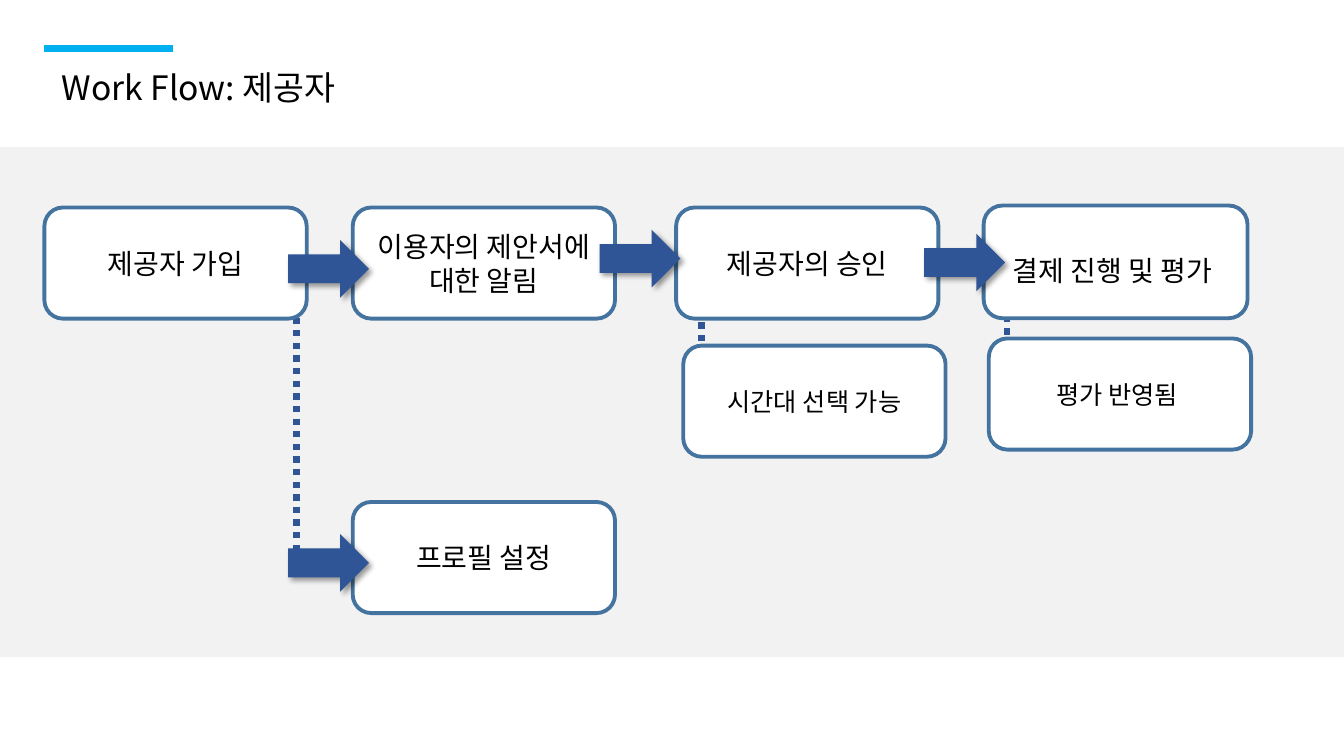
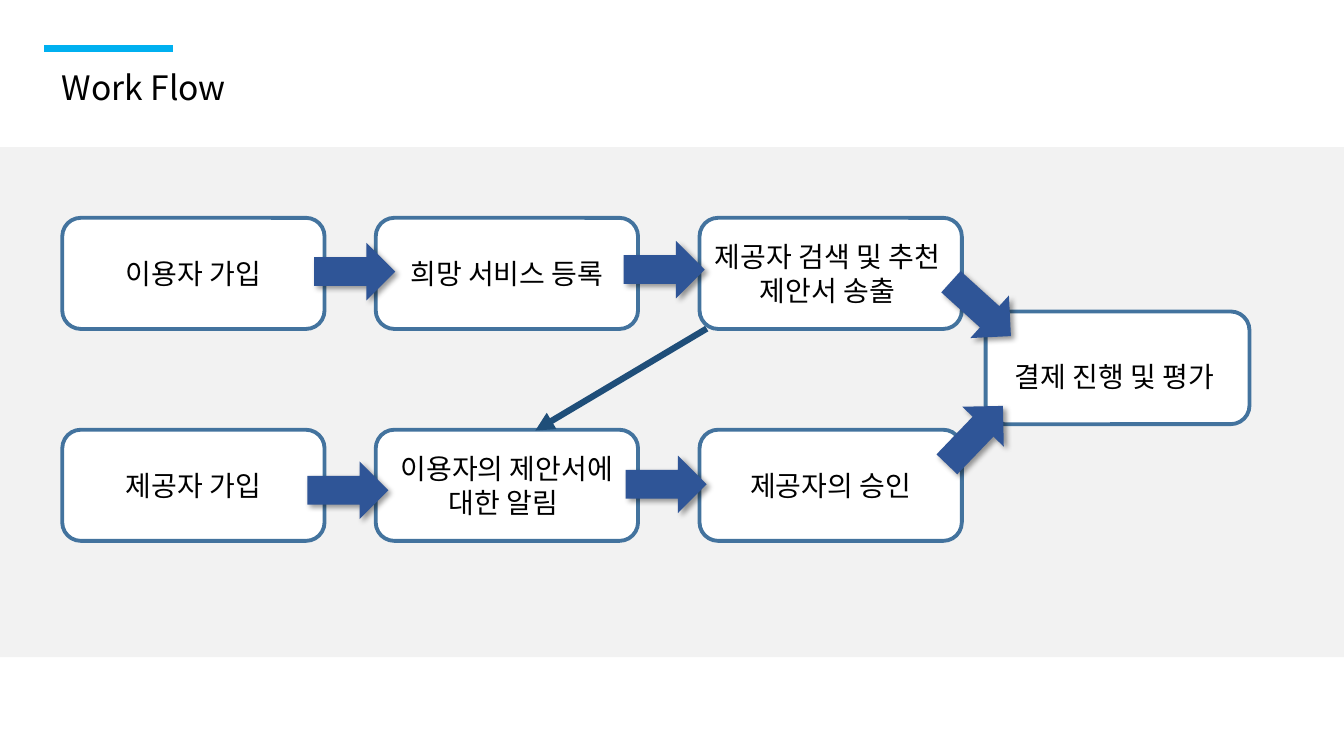
from lxml import etree
from pptx import Presentation
from pptx.dml.color import RGBColor
from pptx.enum.dml import MSO_LINE
from pptx.enum.shapes import MSO_CONNECTOR, MSO_SHAPE
from pptx.enum.text import MSO_ANCHOR, MSO_AUTO_SIZE, PP_ALIGN
from pptx.oxml.ns import qn
from pptx.util import Cm, Pt

STRAIGHT = MSO_CONNECTOR.STRAIGHT
RECTANGLE = MSO_SHAPE.RECTANGLE
ROUNDED = MSO_SHAPE.ROUNDED_RECTANGLE
RIGHT_ARROW = MSO_SHAPE.RIGHT_ARROW
DOTTED = MSO_LINE.ROUND_DOT
LEFT, CENTER = PP_ALIGN.LEFT, PP_ALIGN.CENTER
TOP, MIDDLE = MSO_ANCHOR.TOP, MSO_ANCHOR.MIDDLE
GROW = MSO_AUTO_SIZE.SHAPE_TO_FIT_TEXT

FONT = "Noto Sans CJK KR"
COLORS = {
    "text": "000000",
    "box": "FFFFFF",
    "border": "43739E",
    "band": "F2F2F2",
    "accent": "00B0F0",
    "arrow": "2F5597",
    "link": "1F4E79",
}
SLIDE_WIDTH, SLIDE_HEIGHT = 33.87, 19.05
BOX_SIZE = (6.61, 2.8)
PAYMENT_SIZE = (6.65, 2.84)
ARROW_SIZE = (2.04, 1.45)


def color(name):
    return RGBColor.from_string(COLORS[name])


class FlowDeck:
    """Holds the deck style and the slide being drawn."""

    def __init__(self):
        self.deck = Presentation()
        self.deck.slide_width = Cm(SLIDE_WIDTH)
        self.deck.slide_height = Cm(SLIDE_HEIGHT)
        self.page = None

    def add_page(self, title):
        title_only = self.deck.slide_layouts[5]
        self.page = self.deck.slides.add_slide(title_only)
        self.shape(RECTANGLE, 0, 3.71, (SLIDE_WIDTH, 12.85), "band")
        self.line((1.12, 1.22), (4.37, 1.22), "accent", 5)
        box = self.page.shapes.title
        box.left, box.top, box.width, box.height = Cm(1.3), Cm(1.55), Cm(11.46), Cm(1.27)
        self.label(box, title, 24, LEFT, TOP)
        box.text_frame.auto_size = GROW

    def shape(self, kind, left, top, size, fill):
        shape = self.page.shapes.add_shape(kind, Cm(left), Cm(top), *map(Cm, size))
        shape.shadow.inherit = False
        shape.fill.solid()
        shape.fill.fore_color.rgb = color(fill)
        shape.line.fill.background()
        return shape

    def label(self, shape, text, size, align, anchor, spacing=None):
        frame = shape.text_frame
        frame.text = text
        frame.word_wrap = True
        frame.vertical_anchor = anchor
        for para in frame.paragraphs:
            para.alignment = align
            para.line_spacing = spacing
            for span in para.runs:
                span.font.size = Pt(size)
                span.font.name = FONT
                span.font.color.rgb = color("text")
                # Korean glyphs take the East Asian typeface
                properties = span._r.get_or_add_rPr()
                etree.SubElement(properties, qn("a:ea"), typeface=FONT)

    def box(self, left, top, text, size=20, box_size=BOX_SIZE, spacing=None):
        box = self.shape(ROUNDED, left, top, box_size, "box")
        box.line.color.rgb = color("border")
        box.line.width = Pt(2.75)
        self.label(box, text, size, CENTER, MIDDLE, spacing)

    def payment_box(self, left, top):
        self.box(left, top, "결제 진행 및 평가 ", box_size=PAYMENT_SIZE, spacing=1.5)

    def arrow(self, left, top, rotation=0):
        arrow = self.shape(RIGHT_ARROW, left, top, ARROW_SIZE, "arrow")
        arrow.rotation = rotation
        # Soft shadow: 4 pt blur, 3 pt away at 45 degrees, 40 % black
        effects = arrow._element.spPr.find(qn("a:effectLst"))
        shadow = etree.SubElement(
            effects, qn("a:outerShdw"), blurRad=str(Pt(4)), dist=str(Pt(3)),
            dir=str(45 * 60000), algn="tl", rotWithShape="0")
        black = etree.SubElement(shadow, qn("a:srgbClr"), val="000000")
        etree.SubElement(black, qn("a:alpha"), val="40000")

    def line(self, start, end, name, width, dash=None, head=False):
        line = self.page.shapes.add_connector(STRAIGHT, *map(Cm, start + end))
        line.line.color.rgb = color(name)
        line.line.width = Pt(width)
        if dash:
            line.line.dash_style = dash
        if head:
            outline = line._element.spPr.find(qn("a:ln"))
            etree.SubElement(outline, qn("a:tailEnd"), type="triangle")
        etree.SubElement(line._element.spPr, qn("a:effectLst"))

    def dots(self, left, top, bottom):
        self.line((left, top), (left, bottom), "arrow", 4.5, dash=DOTTED)


def provider_flow(flow):
    flow.add_page("Work Flow: 제공자")
    columns, row = (1.12, 8.89, 17.04), 5.23

    # Dotted links run behind the boxes
    for link in ((7.47, 6.73, 14.17), (17.68, 7.49, 11.4), (25.38, 7.32, 11.25)):
        flow.dots(*link)

    # Main steps
    steps = ("제공자 가입", "이용자의 제안서에\n대한 알림", "제공자의 승인")
    for left, text in zip(columns, steps):
        flow.box(left, row, text)
    flow.payment_box(24.79, 5.18)

    # Details below the steps
    flow.box(columns[1], 12.65, "프로필 설정")
    flow.box(17.22, 8.71, "시간대 선택 가능", size=18)
    flow.box(24.92, 8.53, "평가 반영됨 ", size=18)

    for place in ((7.26, 6.05), (15.11, 5.79), (23.29, 5.89), (7.26, 13.46)):
        flow.arrow(*place)


def whole_flow(flow):
    flow.add_page("Work Flow")
    columns = (1.57, 9.47, 17.63)

    # User steps above, provider steps below, both leading to payment
    flow.payment_box(24.84, 7.85)
    rows = (
        (5.49, ("이용자 가입", "희망 서비스 등록", "제공자 검색 및 추천 \n제안서 송출 ")),
        (10.83, ("제공자 가입", "이용자의 제안서에 대한 알림 ", "제공자의 승인")),
    )
    for top, steps in rows:
        for left, text in zip(columns, steps):
            flow.box(left, top, text)

    # Arrows between steps, the last two turned towards payment
    for place in ((7.92, 6.12), (15.72, 6.07), (7.75, 11.63), (15.77, 11.48),
                  (23.7, 7.06, 42.2), (23.55, 10.24, 313.8)):
        flow.arrow(*place)
    flow.line((17.81, 8.28), (13.49, 10.85), "link", 4.5, head=True)


def main():
    flow = FlowDeck()
    provider_flow(flow)
    whole_flow(flow)
    flow.deck.save("out.pptx")


if __name__ == "__main__":
    main()
